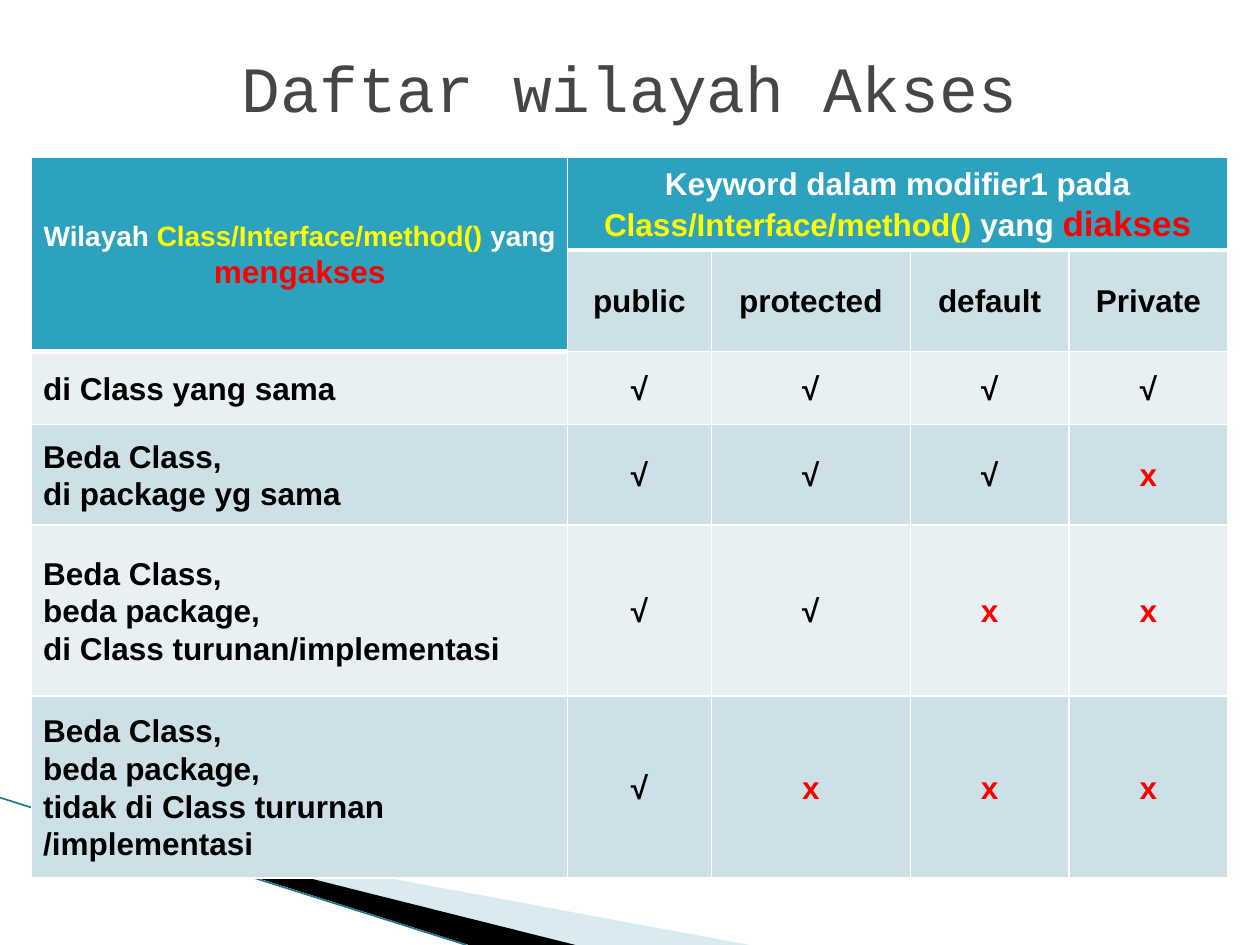
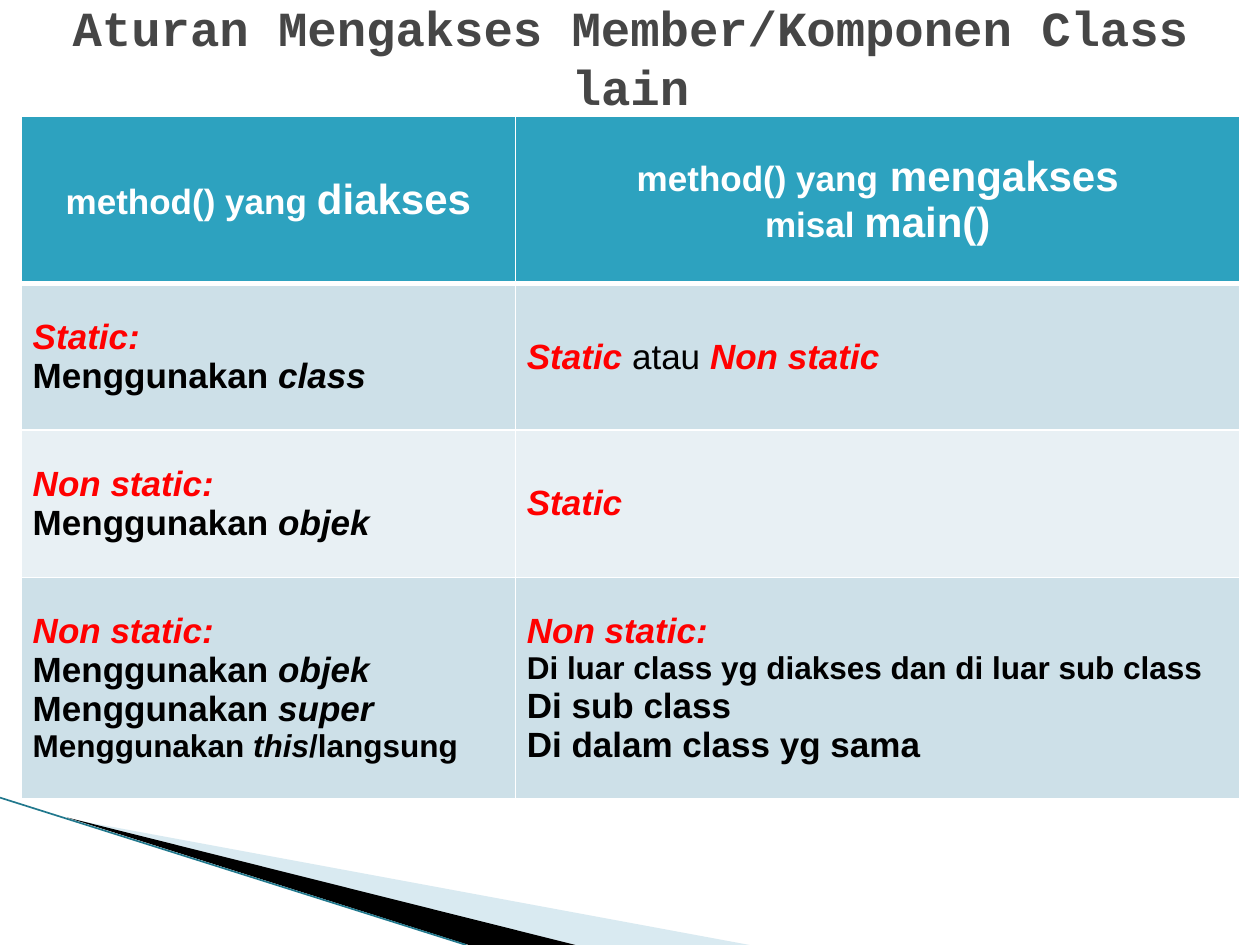
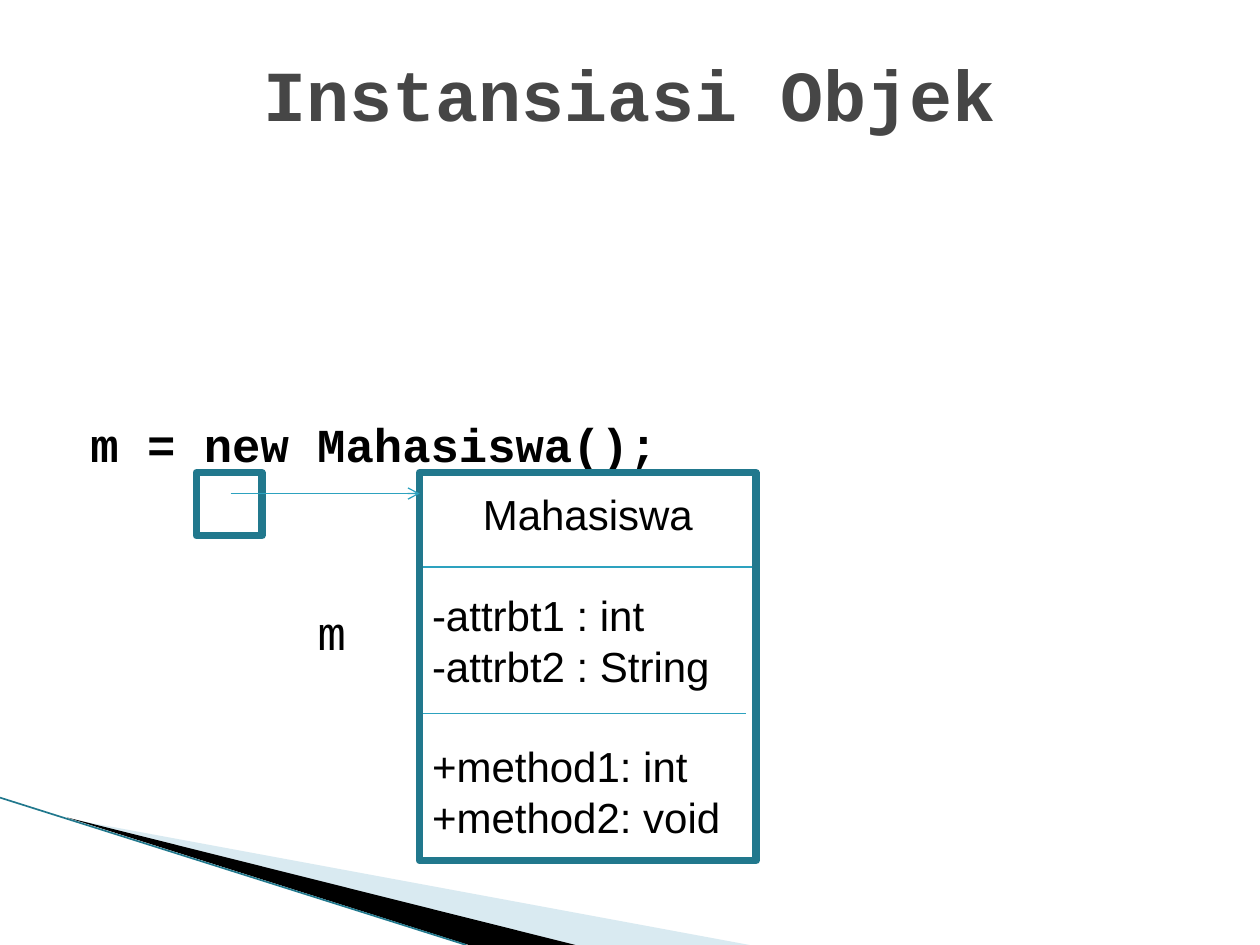
from lxml import etree
from pptx import Presentation
from pptx.dml.color import RGBColor
from pptx.enum.shapes import MSO_CONNECTOR, MSO_SHAPE
from pptx.enum.text import MSO_ANCHOR, MSO_AUTO_SIZE, PP_ALIGN
from pptx.oxml.ns import qn
from pptx.util import Cm, Pt

CENTER, LEFT = PP_ALIGN.CENTER, PP_ALIGN.LEFT
MIDDLE = MSO_ANCHOR.MIDDLE
NO_FIT = MSO_AUTO_SIZE.NONE
RECTANGLE = MSO_SHAPE.RECTANGLE
STRAIGHT = MSO_CONNECTOR.STRAIGHT
TITLE_ONLY, TITLE_AND_BODY = 5, 1

COLORS = {
    "title": "464646", "ink": "000000", "white": "FFFFFF",
    "yellow": "FFFF00", "red": "FF0000",
    "header": "2DA2BF", "odd_row": "CDE0E8", "even_row": "E8F0F4",
    "frame": "21788D", "pale": "A0CBDC",
}
SANS, MONO = "Arial", "Courier New"

# Run styles: colour, bold, italic
STYLES = {
    "head": ("white", True, False),
    "class": ("yellow", True, False),
    "alert": ("red", True, False),
    "term": ("red", True, True),
    "strong": ("ink", True, False),
    "word": ("ink", True, True),
    "plain": ("ink", False, False),
    "title": ("title", False, False),
    "bold_title": ("title", True, False),
}


def rgb(name):
    return RGBColor.from_string(COLORS[name])


class Deck:
    """Holds the presentation, its shared style and the current slide."""

    def __init__(self):
        self.prs = Presentation()
        self.prs.slide_width, self.prs.slide_height = Cm(25.4), Cm(19.05)
        self.slide = None

    def new_slide(self, layout):
        self.slide = self.prs.slides.add_slide(self.prs.slide_layouts[layout])

    def set_lines(self, frame, lines, size, font=SANS, align=LEFT, spacing=None):
        """Each line is a list of (text, style) or (text, style, size) runs."""
        frame.word_wrap = True
        for number, line in enumerate(lines):
            paragraph = frame.add_paragraph() if number else frame.paragraphs[0]
            paragraph.alignment = align
            if spacing:
                paragraph.line_spacing = spacing
            for text, style, *own_size in line:
                run = paragraph.add_run()
                run.text = text
                color, bold, italic = STYLES[style]
                run.font.name = font
                run.font.size = Pt(own_size[0] if own_size else size)
                run.font.bold, run.font.italic = bold, italic
                run.font.color.rgb = rgb(color)

    def place(self, placeholder, left, top, width, height):
        placeholder.left, placeholder.top = Cm(left), Cm(top)
        placeholder.width, placeholder.height = Cm(width), Cm(height)
        placeholder.text_frame.auto_size = NO_FIT
        return placeholder.text_frame

    def title(self, text, box, size, style="bold_title"):
        frame = self.place(self.slide.shapes.title, *box)
        frame.vertical_anchor = MIDDLE
        self.set_lines(frame, [[(text, style)]], size, MONO, CENTER)

    def code(self, lines, box, top_margin):
        """Lines are (text, style, indent in cm, space before in points)."""
        frame = self.place(self.slide.placeholders[1], *box)
        frame.margin_top = Cm(top_margin)
        self.set_lines(frame, [[line[:2]] for line in lines], 27, MONO)
        for paragraph, (_, _, indent, before) in zip(frame.paragraphs, lines):
            paragraph.space_before = Pt(before)
            props = paragraph._p.get_or_add_pPr()
            props.set("marL", str(Cm(indent)))
            props.set("indent", "0")
            etree.SubElement(props, qn("a:buNone"))

    def textbox(self, lines, box, size, spacing):
        frame = self.slide.shapes.add_textbox(*map(Cm, box)).text_frame
        self.set_lines(frame, lines, size, spacing=spacing)
        return frame

    def frame(self, *box):
        shape = self.slide.shapes.add_shape(RECTANGLE, *map(Cm, box))
        shape.shadow.inherit = False
        shape.fill.background()
        shape.line.color.rgb = rgb("frame")
        shape.line.width = Pt(4.33)

    def line(self, start, end, color="header", width=0.75, arrow=False):
        line = self.slide.shapes.add_connector(STRAIGHT, *map(Cm, start + end))
        line.line.color.rgb = rgb(color)
        line.line.width = Pt(width)
        if arrow:
            outline = line.element.spPr.find(qn("a:ln"))
            etree.SubElement(outline, qn("a:tailEnd"), type="arrow")
        etree.SubElement(line.element.spPr, qn("a:effectLst"))
        return line

    def wedge(self, points, color, alpha=None):
        corners = [(Cm(x), Cm(y)) for x, y in points]
        builder = self.slide.shapes.build_freeform(*corners[0])
        builder.add_line_segments(corners[1:], close=True)
        shape = builder.convert_to_shape()
        shape.shadow.inherit = False
        shape.fill.solid()
        shape.fill.fore_color.rgb = rgb(color)
        shape.line.fill.background()
        if alpha:
            tint = shape.element.spPr.find(".//" + qn("a:srgbClr"))
            etree.SubElement(tint, qn("a:alpha"), val=str(alpha * 1000))
        return shape

    def backdrop(self):
        """Draws the corner bands and moves them to the slide master."""
        bands = [
            self.wedge([(1.4, 16.51), (15.11, 19.05), (11.58, 19.05)], "pale", 40),
            self.wedge([(1.35, 16.48), (11.6, 19.05), (9.45, 19.05)], "ink"),
            self.line((0, 16.08), (9.4, 19.05), "frame", 0.95),
        ]
        tree = self.prs.slide_master.element.cSld.spTree
        for number, band in enumerate(bands, start=101):
            band.element.find(".//" + qn("p:cNvPr")).set("id", str(number))
            tree.append(band.element)

    def cell_borders(self, cell, top, bottom):
        props = cell._tc.get_or_add_tcPr()
        for side, width in (("L", 1), ("R", 1), ("T", top), ("B", bottom)):
            edge = etree.SubElement(props, qn("a:ln" + side), w=str(Pt(width)))
            fill = etree.SubElement(edge, qn("a:solidFill"))
            etree.SubElement(fill, qn("a:srgbClr"), val=COLORS["white"])

    def table(self, cells, corner, widths, heights, header_depths, size, centered, spacing=None):
        """header_depths: header rows per column; centered(row, column) -> bool."""
        box = (*corner, sum(widths), sum(heights))
        table = self.slide.shapes.add_table(len(heights), len(widths), *map(Cm, box)).table
        for column, width in zip(table.columns, widths):
            column.width = Cm(width)
        for row, height in zip(table.rows, heights):
            row.height = Cm(height)
        for r, row in enumerate(cells):
            for c, lines in enumerate(row):
                cell, depth = table.cell(r, c), header_depths[c]
                self.cell_borders(cell, 3 if r == depth else 1, 3 if r == depth - 1 else 1)
                band = "odd_row" if r % 2 else "even_row"
                cell.fill.solid()
                cell.fill.fore_color.rgb = rgb("header" if r < depth else band)
                cell.vertical_anchor = MIDDLE
                cell.margin_left = cell.margin_right = Cm(0.23)
                align = CENTER if centered(r, c) else LEFT
                self.set_lines(cell.text_frame, lines, size, align=align, spacing=spacing)
        return table


def strong(*texts):
    return [[(text, "strong")] for text in texts]


def access_row(area, marks):
    return [strong(*area)] + [[[(mark, "alert" if mark == "x" else "strong")]] for mark in marks]


def usage(word, size=20):
    return [("Menggunakan ", "strong", size), (word, "word", size)]


def access_list(deck):
    deck.new_slide(TITLE_ONLY)
    deck.backdrop()
    deck.title("Daftar wilayah Akses", (1.27, 0.76, 22.86, 1.98), 36.9, "title")
    class_name = "Class/Interface/method()"
    accessing = [[("Wilayah ", "head", 16), (class_name, "class", 16),
                  (" yang ", "head", 16), ("mengakses", "alert")]]
    accessed = [[("Keyword dalam modifier1 pada ", "head"), (class_name, "class"),
                 (" yang ", "head"), ("diakses", "alert", 20)]]
    modifiers = ("public", "protected", "default", "Private")
    cells = [
        [accessing, accessed, [], [], []],
        [[]] + [strong(modifier) for modifier in modifiers],
        access_row(["di Class yang sama"], "√√√√"),
        access_row(["Beda Class,", "di package yg sama"], "√√√x"),
        access_row(["Beda Class,", "beda package,", "di Class turunan/implementasi"], "√√xx"),
        access_row(["Beda Class,", "beda package,", "tidak di Class tururnan /implementasi"], "√xxx"),
    ]
    table = deck.table(
        cells, (0.64, 3.18), [10.8, 2.9, 4.01, 3.2, 3.2],
        [1.83, 2.05, 1.47, 2.03, 3.45, 3.66], [2, 1, 1, 1, 1], 18,
        lambda r, c: r < 2 or c > 0, 1.07)
    table.cell(0, 0).merge(table.cell(1, 0))
    table.cell(0, 1).merge(table.cell(0, 4))


def access_rules(deck):
    deck.new_slide(TITLE_ONLY)
    deck.title("Aturan Mengakses Member/Komponen Class lain", (0.43, 0.43, 24.56, 1.42), 28)
    non_static = [("Non static:", "term")]
    cells = [
        [[[("method() yang ", "head"), ("diakses", "head", 24)]],
         [[("method() yang", "head"), (" mengakses", "head", 24)],
          [("misal ", "head"), ("main()", "head", 24)]]],
        [[[("Static:", "term")], usage("class")],
         [[("Static ", "term"), ("atau", "plain"), (" Non static", "term")]]],
        [[non_static, usage("objek")], [[("Static", "term")]]],
        [[non_static, usage("objek"), usage("super"),
          usage("this", 18) + [("/langsung", "strong", 18)]],
         [non_static, [("Di luar class yg diakses dan di luar sub class", "strong", 18)],
          *strong("Di sub class", "Di dalam class yg sama")]],
    ]
    deck.table(cells, (0.43, 2.34), [9.96, 14.61], [3.38, 2.95, 2.97, 4.47],
               [1, 1], 20, lambda r, c: r == 0)


def object_creation(deck):
    deck.new_slide(TITLE_AND_BODY)
    deck.title("Instansiasi Objek", (1.27, 0.76, 22.86, 2.21), 41)
    deck.code([("m = new Mahasiswa();", "strong", 0.3, 0), ("m", "plain", 4.88, 75)],
              (1.27, 3.18, 22.86, 14.1), 5.2)

    # Reference variable and the object it points to
    deck.frame(3.96, 9.53, 1.32, 1.27)
    left, top, width = 8.46, 9.53, 6.78
    line_height = Pt(28.8)
    members = ["-attrbt1 : int", "-attrbt2 : String", "+method1: int", "+method2: void"]
    lines = [[(text, "plain")] for text in ["Mahasiswa"] + members]
    diagram = deck.textbox(lines, (left, 9.73, width, 7.44), 24, line_height)
    diagram.paragraphs[0].alignment = CENTER
    for group_start in (1, 3):
        diagram.paragraphs[group_start].space_before = line_height
    deck.line((left, 11.43), (left + width, 11.43))
    deck.line((left, 14.39), (15.04, 14.39))
    deck.frame(left, top, width, 7.82)
    deck.line((4.65, 9.95), (left, 9.95), arrow=True)


def main():
    deck = Deck()
    access_list(deck)
    access_rules(deck)
    object_creation(deck)
    deck.prs.save("out.pptx")


if __name__ == "__main__":
    main()
